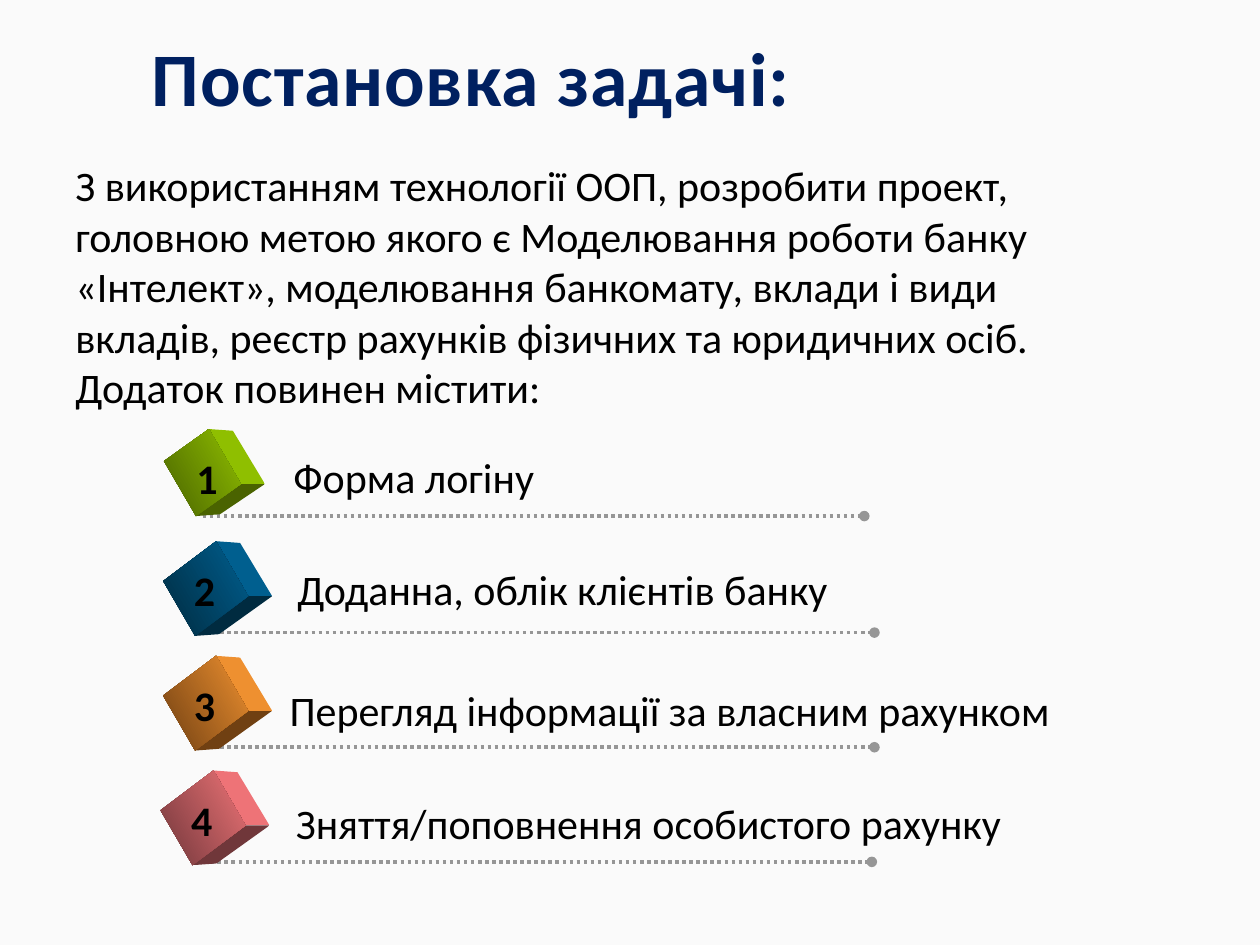
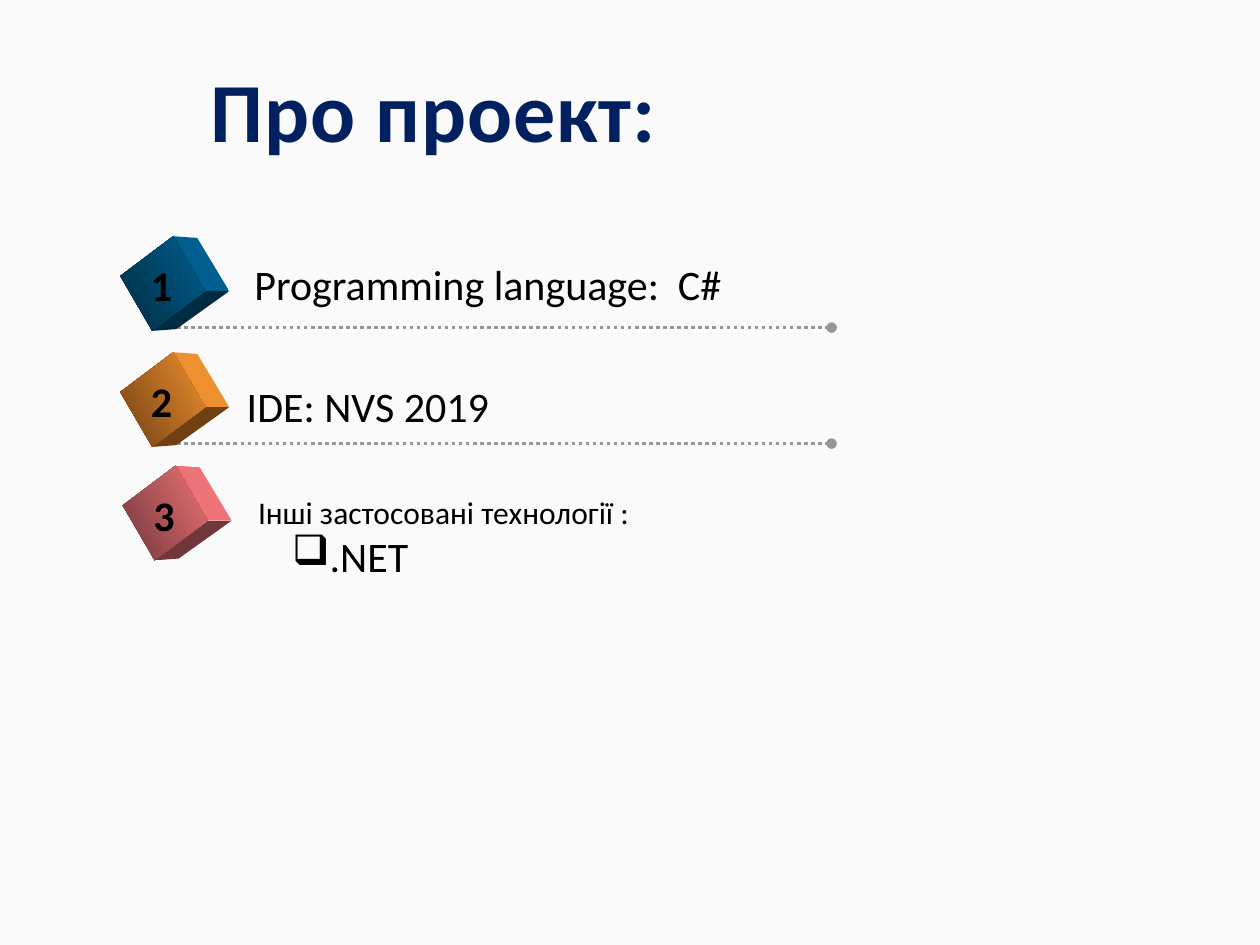
from dataclasses import dataclass
from lxml.etree import SubElement
from pptx import Presentation
from pptx.dml.color import RGBColor
from pptx.enum.dml import MSO_LINE_DASH_STYLE as Dash
from pptx.enum.shapes import MSO_CONNECTOR as Connector
from pptx.enum.text import MSO_ANCHOR as Anchor, PP_ALIGN as Align
from pptx.oxml.ns import qn
from pptx.util import Pt


@dataclass(frozen=True)
class Theme:
    font: str = "Calibri"
    background: str = "FAFAFA"
    title: str = "002060"
    text: str = "000000"
    rule: str = "969696"
    body_size: float = 24
    small_size: float = 18


@dataclass(frozen=True)
class CubeStyle:
    bright: str
    dark: str
    label_offset: tuple
    number_offset: tuple = (4.3, 3.2)
    rule_offset: tuple = (22.3, 45.4)
    corner_offset: tuple = (-6.2, 15.9)
    top_edge: tuple = (30.3, -22.7)


theme = Theme()
GREEN = CubeStyle("8FBF00", "4A6300", (63.4, 0), (7.9, 0.7), (18.7, 40.7),
                  (-3.5, 9.3), (25.7, -18.3))
BLUE = CubeStyle("005F8F", "002B40", (63.4, 2.2))
ORANGE = CubeStyle("EE9030", "704012", (59, 5.8))
PINK = CubeStyle("EE7377", "70373A", (64.1, 5))
SIDE_EDGE = (18.3, 31.4)
CUBE_DEPTH = 13.7
RULE_LENGTH = 378

slides = [
    {
        "title": ("Постановка задачі:", 43.2, 76.3, 15.8),
        "intro": "З використанням технології ООП, розробити проект, головною метою якого є "
                 "Моделювання роботи банку «Інтелект», моделювання банкомату, вклади і види "
                 "вкладів, реєстр рахунків фізичних та юридичних осіб. Додаток повинен містити:",
        "items": [
            (GREEN, 97.2, 254.2, 153.4, "Форма логіну"),
            (BLUE, 99.4, 316.1, 320.4, "Доданна, облік клієнтів банку"),
            (ORANGE, 99.4, 381.6, 453.6, "Перегляд інформації за власним рахунком"),
            (PINK, 97.9, 447.1, 421.2, "Зняття/поповнення особистого рахунку"),
        ],
    },
    {
        "title": ("Про проект:", 48, 54.7, 34.6),
        "items": [
            (BLUE, 74.9, 141.8, 283.7, "Programming language:  C#"),
            (ORANGE, 74.9, 208.1, 159.1, "IDE: NVS 2019"),
            (PINK, 76.3, 272.9, 233.3, "Інші застосовані технології :"),
        ],
        "technology": ".NET",
    },
]


def add_text(slide, text, left, top, width, height, size=theme.body_size,
             color=theme.text, bold=False, wrap=False):
    shape = slide.shapes.add_textbox(Pt(left), Pt(top), Pt(width), Pt(height))
    shape.text_frame.word_wrap = wrap
    paragraph = shape.text_frame.paragraphs[0]
    paragraph.text = text
    paragraph.font.name = theme.font
    paragraph.font.size = Pt(size)
    paragraph.font.bold = bold
    paragraph.font.color.rgb = RGBColor.from_string(color)
    return shape.text_frame


def add_face(slide, corners, start_color, end_color):
    points = [(Pt(x), Pt(y)) for x, y in corners]
    builder = slide.shapes.build_freeform(*points[0])
    builder.add_line_segments(points[1:], close=True)
    face = builder.convert_to_shape()
    face.shadow.inherit = False
    face.line.fill.background()
    face.fill.gradient()
    face.fill.gradient_angle = 30
    for stop, color in zip(face.fill.gradient_stops, (start_color, end_color)):
        stop.color.rgb = RGBColor.from_string(color)


presentation = Presentation()
presentation.slide_width = Pt(720)
presentation.slide_height = Pt(540)

for content in slides:
    slide = presentation.slides.add_slide(presentation.slide_layouts[6])
    slide.background.fill.solid()
    slide.background.fill.fore_color.rgb = RGBColor.from_string(theme.background)

    title, title_size, left, top = content["title"]
    frame = add_text(slide, title, left, top, 386, 62.6, title_size, theme.title, True, True)
    frame.vertical_anchor = Anchor.MIDDLE
    paragraph = frame.paragraphs[0]
    paragraph.alignment = Align.CENTER
    paragraph.line_spacing = 0.9
    paragraph.runs[0].font._element.set("spc", "50")

    if "intro" in content:
        add_text(slide, content["intro"], 36, 87.8, 591.8, 151.9, wrap=True)

    for number, (style, left, top, label_width, label) in enumerate(content["items"], 1):
        has_technology = number == len(content["items"]) and "technology" in content
        if not has_technology:
            rule_left, rule_top = left + style.rule_offset[0], top + style.rule_offset[1]
            rule = slide.shapes.add_connector(Connector.STRAIGHT, Pt(rule_left), Pt(rule_top),
                                              Pt(rule_left + RULE_LENGTH), Pt(rule_top))
            rule.line.color.rgb = RGBColor.from_string(theme.rule)
            rule.line.width = Pt(2)
            rule.line.dash_style = Dash.ROUND_DOT
            SubElement(rule.line._get_or_add_ln(), qn("a:tailEnd"), type="oval")
            SubElement(rule._element.spPr, qn("a:effectLst"))

        x, y = left + style.corner_offset[0], top + style.corner_offset[1]
        top_x, top_y = x + style.top_edge[0], y + style.top_edge[1]
        bottom_x, bottom_y = x + SIDE_EDGE[0], y + SIDE_EDGE[1]
        right_x, right_y = top_x + SIDE_EDGE[0], top_y + SIDE_EDGE[1]
        back_right = (right_x + CUBE_DEPTH, right_y)
        add_face(slide, [(top_x, top_y), (top_x + CUBE_DEPTH, top_y + 1), back_right,
                         (right_x, right_y)], style.bright, style.bright)
        add_face(slide, [(bottom_x, bottom_y), (right_x, right_y), back_right,
                         (bottom_x + CUBE_DEPTH, bottom_y - 1)], style.dark, style.dark)
        add_face(slide, [(x, y), (top_x, top_y), (right_x, right_y), (bottom_x, bottom_y)],
                 style.dark, style.bright)

        frame = add_text(slide, label, left + style.label_offset[0], top + style.label_offset[1],
                         label_width, 58.3 if has_technology else 36.4,
                         theme.small_size if has_technology else theme.body_size)
        if has_technology:
            paragraph = frame.add_paragraph()
            paragraph.text = content["technology"]
            paragraph.level = 1
            paragraph.font.name = theme.font
            paragraph.font.size = Pt(theme.body_size)
            paragraph.font.color.rgb = RGBColor.from_string(theme.text)
            properties = paragraph._p.get_or_add_pPr()
            properties.set("marL", str(Pt(36)))
            properties.set("indent", str(Pt(-16.5)))
            bullet = SubElement(properties, qn("a:buChar"), char="❑")
            properties.find(qn("a:defRPr")).addprevious(bullet)

        add_text(slide, str(number), left + style.number_offset[0], top + style.number_offset[1],
                 26.6, 36.4, bold=True)

presentation.save("out.pptx")
